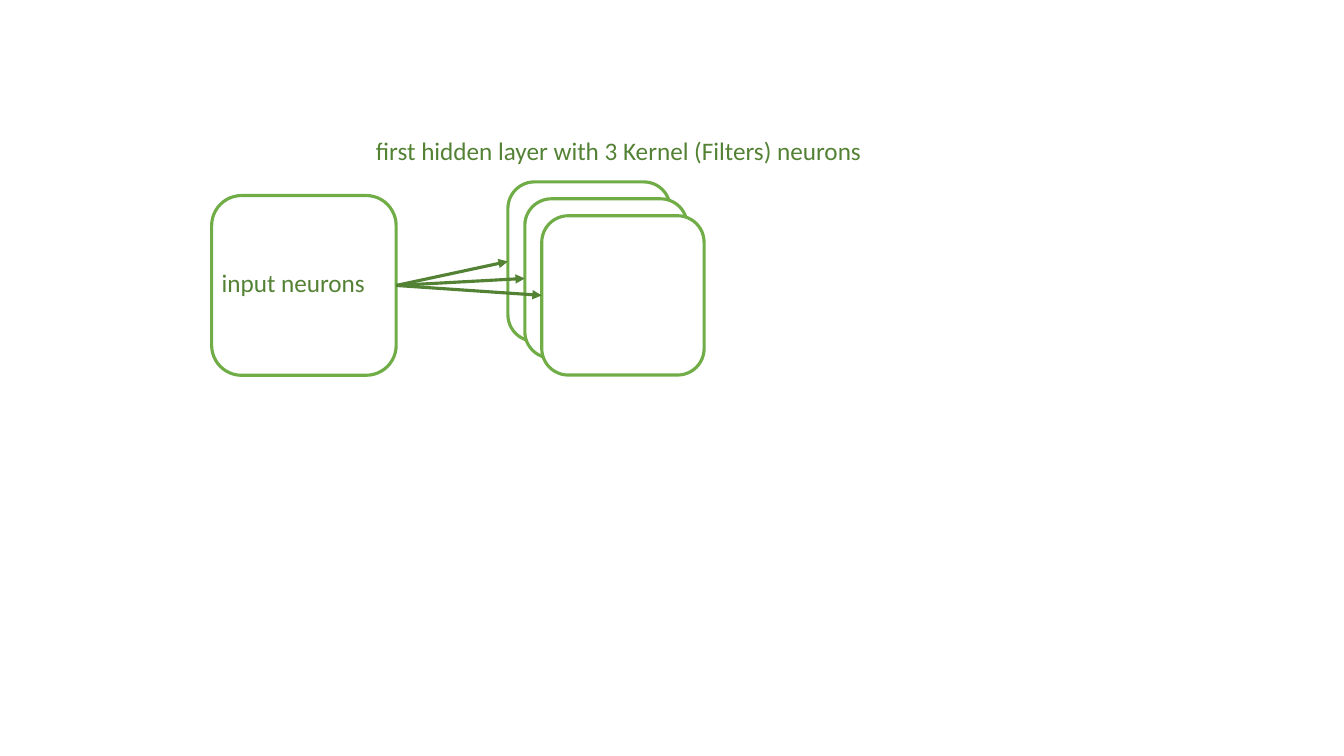
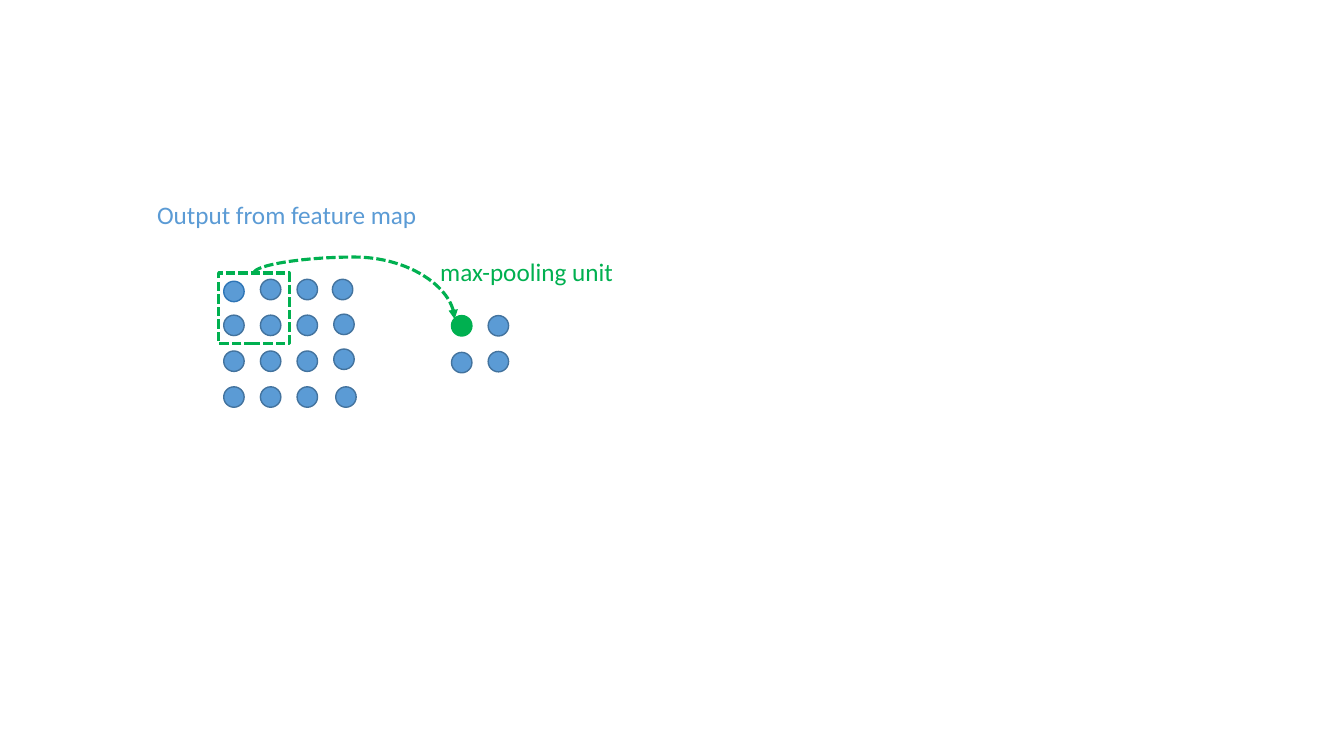
from lxml import etree
from pptx import Presentation
from pptx.dml.color import RGBColor
from pptx.enum import dml, shapes, text
from pptx.oxml import ns
from pptx.util import Pt

FONT = "Calibri"
WHITE = RGBColor(0xFF, 0xFF, 0xFF)
LEAF = RGBColor(0x70, 0xAD, 0x47)
DARK_LEAF = RGBColor(0x54, 0x82, 0x35)
GREEN = RGBColor(0x00, 0xB0, 0x50)
BLUE = RGBColor(0x5B, 0x9B, 0xD5)
BLUE_EDGE = RGBColor(0x43, 0x73, 0x9E)
FIRST_EDGE = RGBColor(0x2E, 0x75, 0xB6)
THICK = 2.25
DOT = 14.6
PITCH_X, PITCH_Y = 26.2, 25.6


def set_line(line, color, width, dashed=False):
    line.color.rgb = color
    line.width = Pt(width)
    if dashed:
        # SQUARE_DOT is the preset that is stored as sysDash
        line.dash_style = dml.MSO_LINE.SQUARE_DOT


def add_box(s, kind, x, y, w, h, fill, edge, width=THICK, dashed=False):
    sp = s.shapes.add_shape(kind, Pt(x), Pt(y), Pt(w), Pt(h))
    sp.shadow.inherit = False
    if fill is None:
        sp.fill.background()
    else:
        sp.fill.solid()
        sp.fill.fore_color.rgb = fill
    set_line(sp.line, edge, width, dashed)
    return sp


def add_arrow(s, kind, start, end, color, dashed=False):
    """Add a connector with a triangle head at its end."""
    arrow = s.shapes.add_connector(kind, *map(Pt, start + end))
    set_line(arrow.line, color, THICK, dashed)
    pr = arrow._element.spPr
    ln = pr.find(ns.qn("a:ln"))
    etree.SubElement(ln, ns.qn("a:tailEnd"), type="triangle")
    etree.SubElement(pr, ns.qn("a:effectLst"))
    return arrow


def add_label(s, x, y, w, words, color):
    tb = s.shapes.add_textbox(Pt(x), Pt(y), Pt(w), Pt(29))
    tf = tb.text_frame
    tf.word_wrap = False
    tf.auto_size = text.MSO_AUTO_SIZE.SHAPE_TO_FIT_TEXT
    r = tf.paragraphs[0].add_run()
    r.text = words
    for name, value in {"name": FONT, "size": Pt(18)}.items():
        setattr(r.font, name, value)
    r.font.color.rgb = color


def add_dots(s, x, y, count, nudges, fills=None, edges=None):
    """Add a square grid of dots; dicts keyed by (column, row) hold exceptions."""
    for col in range(count):
        for row in range(count):
            cell = col, row
            dx, dy = nudges.get(cell, (0, 0))
            add_box(s, shapes.MSO_SHAPE.OVAL,
                    x + col * PITCH_X + dx, y + row * PITCH_Y + dy, DOT, DOT,
                    (fills or {}).get(cell, BLUE),
                    (edges or {}).get(cell, BLUE_EDGE), 1)


def add_curve(s, left, top, width, height, bulge):
    """Add a dashed arc that rises by bulge, then falls to the lower right corner."""
    # The preset runs sideways: draw it upright and mirrored, then turn it.
    cx, cy = left + width / 2, top + height / 2
    start = (cx + height / 2, cy - width / 2)
    end = (cx - height / 2, cy + width / 2)
    curve = add_arrow(s, shapes.MSO_CONNECTOR.CURVE, start, end, GREEN, True)
    pr = curve._element.spPr
    pr.find(ns.qn("a:xfrm")).set("rot", str(270 * 60000))
    geom = pr.find(ns.qn("a:prstGeom"))
    guides = geom.find(ns.qn("a:avLst"))
    if guides is None:
        guides = etree.SubElement(geom, ns.qn("a:avLst"))
    etree.SubElement(guides, ns.qn("a:gd"), name="adj1",
                     fmla=f"val {round(-bulge / height * 100000)}")


def build_hidden_layer(s, x, y):
    """Draw the input box and its three kernels from the top left corner."""
    rounded = shapes.MSO_SHAPE.ROUNDED_RECTANGLE
    in_w, in_h, in_y = 131.8, 128.4, y + 46.8
    kernel_w, kernel_h, step = 116, 113.8, 12.1
    kernels = [(x + 211.6 + i * step, y + 37 + i * step) for i in range(3)]

    add_box(s, rounded, x, in_y, in_w, in_h, WHITE, LEAF)
    for left, top in kernels:
        add_box(s, rounded, left, top, kernel_w, kernel_h, WHITE, LEAF)
    for left, top in kernels:
        add_arrow(s, shapes.MSO_CONNECTOR.STRAIGHT, (x + in_w, in_y + in_h / 2),
                  (left, top + kernel_h / 2), DARK_LEAF)
    add_label(s, x + 110.2, y, 365.8,
              "first hidden layer with 3 Kernel (Filters) neurons", DARK_LEAF)
    add_label(s, x, y + 94.6, 118.8, "input neurons", DARK_LEAF)


def build_max_pooling(s, x, y):
    """Draw the feature map and the pooled units from the top left corner."""
    add_box(s, shapes.MSO_SHAPE.RECTANGLE, x + 51.1, y + 56, 50.4, 50.4,
            None, GREEN, dashed=True)
    add_dots(s, x + 54.7, y + 60.5, 4,
             {(0, 0): (0, 1.4), (3, 0): (-1, 0), (3, 1): (0, -0.7),
              (3, 2): (0, -1.4), (3, 3): (1.4, 0)},
             edges={(0, 0): FIRST_EDGE})
    add_dots(s, x + 217.4, y + 86.4, 2, {(0, 1): (0, 0.7)},
             fills={(0, 0): GREEN}, edges={(0, 0): GREEN})
    add_curve(s, x + 76.3, y + 56, 143.3, 33, 11.4)
    add_label(s, x, y, 202.3, "Output from feature map", BLUE)
    add_label(s, x + 202.3, y + 40.3, 139, "max-pooling unit", GREEN)


def main():
    prs = Presentation()
    prs.slide_width, prs.slide_height = Pt(960), Pt(540)
    blank = prs.slide_layouts[6]
    build_hidden_layer(prs.slides.add_slide(blank), 151.2, 92.9)
    build_max_pooling(prs.slides.add_slide(blank), 105.1, 139)
    prs.save("out.pptx")


if __name__ == "__main__":
    main()
